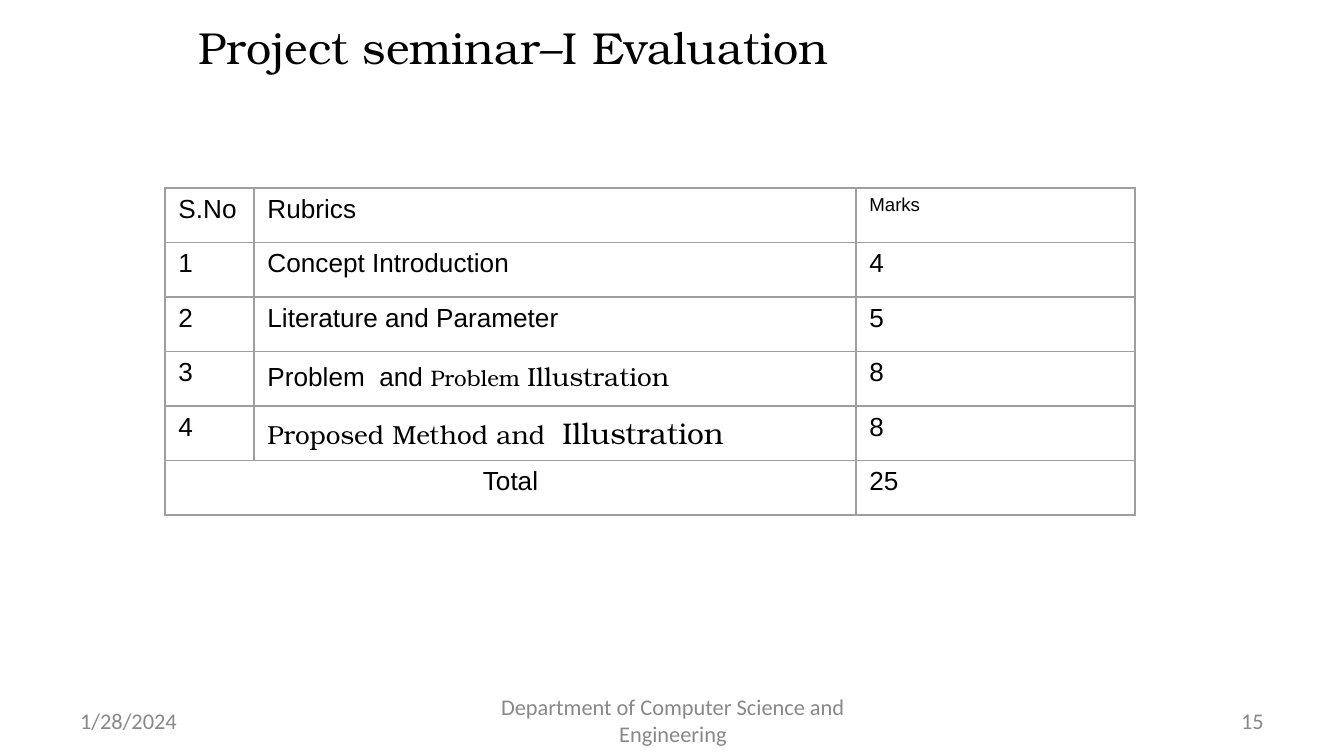
from lxml.etree import SubElement
from pptx import Presentation
from pptx.dml.color import RGBColor
from pptx.enum.text import MSO_ANCHOR, PP_ALIGN
from pptx.oxml.ns import qn
from pptx.util import Pt

PX = 6804
SIZE = (1344, 756)
HUES = {"ink": "000000", "foot": "888888", "rule": "9E9E9E"}
SANS, SERIF, SMALL = "Arial", "TeX Gyre Bonum", "Calibri"
LEFT, MID, RIGHT = PP_ALIGN.LEFT, PP_ALIGN.CENTER, PP_ALIGN.RIGHT

TEXTS = [
    ((64, 0, 899, 93), "Project seminar–I Evaluation", 24, SERIF, "ink", MID),
    ((67, 700, 313, 40), "1/28/2024", 12, SMALL, "foot", LEFT),
    ((460, 700, 426, 40), "Department of Computer Science and Engineering",
     12, SMALL, "foot", MID),
    ((964, 700, 313, 40), "15", 12, SMALL, "foot", RIGHT),
]
GRID = (165, 188)
COLS = [89, 602, 279]
TALL = 327
ROWS = [
    ["S.No", "Rubrics", [("Marks", 10, SANS)]],
    ["1", "Concept Introduction", "4"],
    ["2", "Literature and Parameter", "5"],
    ["3", [("Problem  and ", 14, SANS), ("Problem ", 12, SERIF),
           ("Illustration", 14, SERIF)], "8"],
    ["4", [("Proposed Method and  ", 14, SERIF),
           ("Illustration", 16, SERIF)], "8"],
    ["Total", None, "25"],
]


def write(frame, runs, hue, align):
    para = frame.paragraphs[0]
    para.alignment = align
    for text, size, face in runs:
        run = para.add_run()
        run.text = text
        run.font.size = Pt(size)
        run.font.name = face
        run.font.color.rgb = RGBColor.from_string(HUES[hue])


def border(cell):
    props = cell._tc.get_or_add_tcPr()
    for at, side in enumerate(("lnL", "lnR", "lnT", "lnB")):
        line = SubElement(props, qn(f"a:{side}"), w=str(Pt(0.75)))
        props.insert(at, line)
        fill = SubElement(line, qn("a:solidFill"))
        SubElement(fill, qn("a:srgbClr"), val=HUES["rule"])


deck = Presentation()
deck.slide_width, deck.slide_height = (n * PX for n in SIZE)
slide = deck.slides.add_slide(deck.slide_layouts[6])

for area, text, size, face, hue, align in TEXTS:
    frame = slide.shapes.add_textbox(*(n * PX for n in area)).text_frame
    frame.word_wrap = True
    frame.vertical_anchor = MSO_ANCHOR.MIDDLE
    write(frame, [(text, size, face)], hue, align)

area = (*GRID, sum(COLS), TALL)
table = slide.shapes.add_table(
    len(ROWS), len(COLS), *(n * PX for n in area)).table
table.first_row = table.horz_banding = False
for col, wide in zip(table.columns, COLS):
    col.width = wide * PX
for row in table.rows:
    row.height = TALL * PX // len(ROWS)

last = len(ROWS) - 1
table.cell(last, 0).merge(table.cell(last, 1))
for r, row in enumerate(ROWS):
    for c, item in enumerate(row):
        cell = table.cell(r, c)
        cell.fill.background()
        border(cell)
        if item:
            runs = [(item, 14, SANS)] if isinstance(item, str) else item
            write(cell.text_frame, runs, "ink",
                  MID if cell.is_merge_origin else LEFT)

deck.save("out.pptx")
